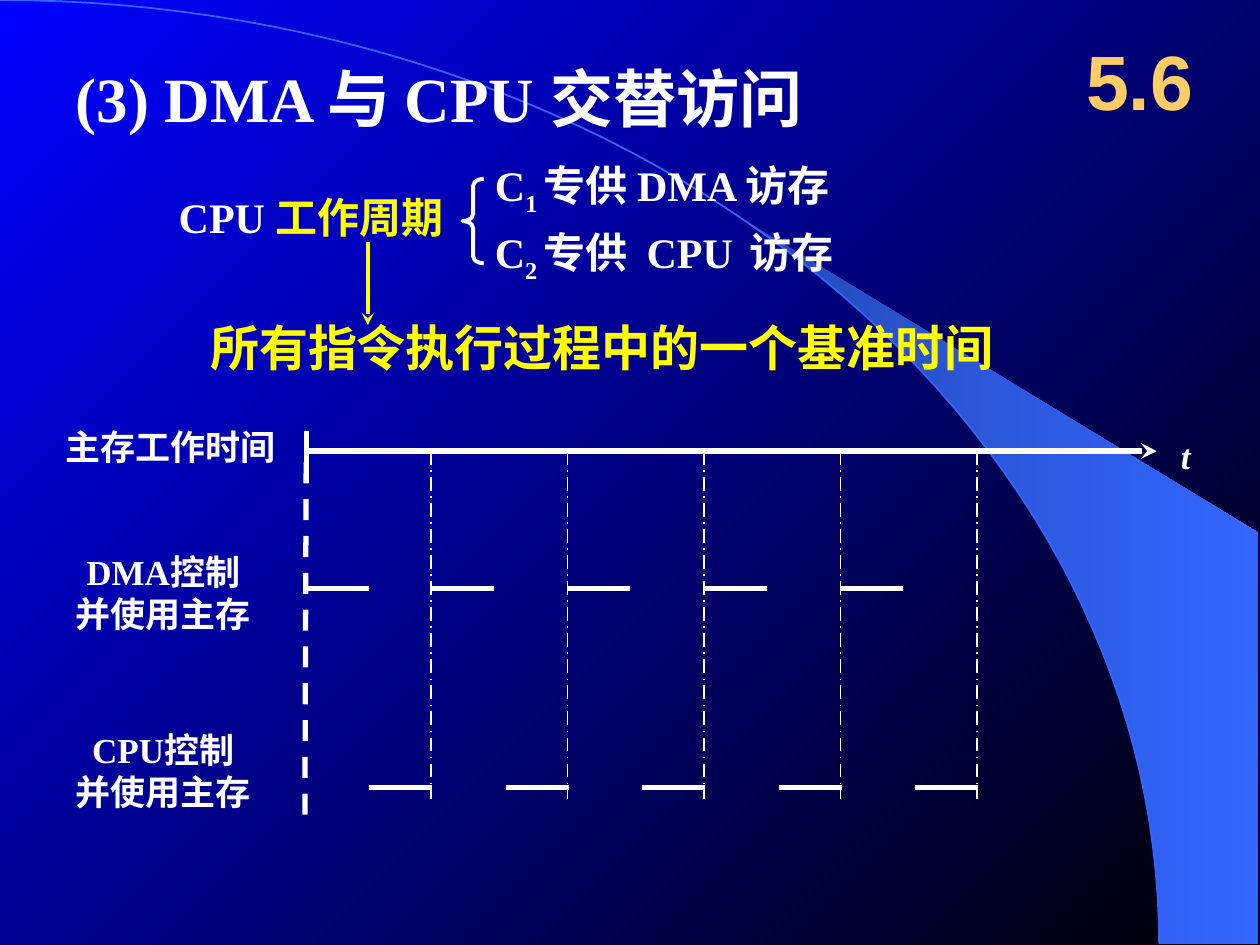
"""Build the slide on DMA and CPU taking turns at main memory."""
import math
from lxml import etree
from pptx import Presentation
from pptx import util as u
from pptx.dml.color import RGBColor
from pptx.enum import dml, shapes, text
from pptx.oxml.ns import qn

WIDTH, HEIGHT = 10, 7.5
WHITE, YELLOW, GOLD, BLUE = "FFFFFF", "FFFF00", "FFCC66", "3366FF"
SERIF, SANS = "Times New Roman", "Arial"
CENTER = text.PP_ALIGN.CENTER

TITLE = ([[("(3) DMA 与 CPU 交替访问", {})]], (0.5, 0.42, 6.92, 0.7), 36)
SECTION = ([[("5.6", {"color": GOLD, "font": SANS})]], (8.42, 0.17, 1.25, 0.92), 44)
LOWERED = {"base": "-25000"}
STATEMENTS = [
    ([[("CPU ", {}), ("工作周期", {"color": YELLOW})]], (1.32, 1.47, 2.52, 0.5), 24),
    ([[("C", {}), ("1 ", LOWERED), ("专供 DMA 访存", {})]], (3.83, 1.22, 4.42, 0.5), 24),
    ([[("C", {}), ("2 ", LOWERED), ("专供  CPU ", {}), (" ", {"size": 14}), ("访存", {})]],
     (3.83, 1.75, 3.83, 0.5), 24),
    ([[("所有指令执行过程中的一个基准时间", {"color": YELLOW})]], (1.57, 2.47, 7.6, 0.57), 28),
]
ROW_LABELS = [
    ([[("主存工作时间", {})]], (0.42, 3.33, 1.87, 0.43), 20),
    ([[("DMA控制", {})], [("并使用主存", {})]], (0.5, 4.32, 1.59, 0.77), 20),
    ([[("CPU控制", {})], [("并使用主存", {})]], (0.5, 5.73, 1.59, 0.77), 20),
    ([[("t", {"italic": True})]], (9.27, 3.4, 0.28, 0.43), 20),
]
ORIGIN, FIRST_TICK, PERIOD, CYCLES = 2.43, 3.42, 13 / 12, 5
AXIS_Y, DMA_Y, CPU_Y, TICK_END = 3.58, 4.67, 6.25, 6.34
BAR = 0.5
ARC_RX, ARC_RY, WEDGE_START = 9.2, 7.49, 5.89


def rgb(value):
    return RGBColor.from_string(value)


def inches(values):
    return [u.Inches(value) for value in values]


def gradient(fill, colors, angle):
    fill.gradient()
    fill.gradient_angle = angle
    for stop, color in zip(fill.gradient_stops, colors):
        stop.color.rgb = rgb(color)


def write(shape, content, wrap=True, align=None):
    paragraphs, box, size = content
    shape.left, shape.top, shape.width, shape.height = inches(box)
    frame = shape.text_frame
    frame.word_wrap = wrap
    frame.auto_size = text.MSO_AUTO_SIZE.NONE
    frame.vertical_anchor = text.MSO_ANCHOR.TOP
    for index, runs in enumerate(paragraphs):
        paragraph = frame.add_paragraph() if index else frame.paragraphs[0]
        paragraph.alignment = align or text.PP_ALIGN.LEFT
        for words, style in runs:
            run = paragraph.add_run()
            run.text = words
            font = run.font
            font.name = style.get("font", SERIF)
            font.size = u.Pt(style.get("size", size))
            font.color.rgb = rgb(style.get("color", WHITE))
            font.bold, font.italic = True, style.get("italic", False)
            if "base" in style:
                run._r.get_or_add_rPr().set("baseline", style["base"])
    return frame


def add_text(slide, content, **options):
    return write(slide.shapes.add_textbox(0, 0, 0, 0), content, **options)


def add_line(slide, start, end, color=WHITE, width=3, dash=None, arrow=False):
    line = slide.shapes.add_connector(
        shapes.MSO_CONNECTOR.STRAIGHT, *inches(start + end))
    line.line.color.rgb = rgb(color)
    line.line.width = u.Pt(width)
    if dash:
        line.line.dash_style = dash
    if arrow:
        etree.SubElement(line.line._get_or_add_ln(), qn("a:tailEnd"), type="stealth")
    etree.SubElement(line._element.spPr, qn("a:effectLst"))


def add_outline(slide, points, close):
    start, *rest = [inches(point) for point in points]
    builder = slide.shapes.build_freeform(*start)
    builder.add_line_segments(rest, close=close)
    outline = builder.convert_to_shape()
    outline.shadow.inherit = False
    return outline


def arc_points(first_angle, steps=60):
    angles = [first_angle + (math.pi / 2 - first_angle) * i / steps for i in range(steps + 1)]
    return [(ARC_RX * math.sin(a), ARC_RY * (1 - math.cos(a))) for a in angles]


def draw_backdrop(slide):
    gradient(slide.background.fill, ("0000FF", "000000"), 315)
    edge = arc_points(math.asin(WEDGE_START / ARC_RX))
    wedge = add_outline(slide, edge + [(9.99, ARC_RY), (9.99, 4.23)], True)
    gradient(wedge.fill, ("2449B6", BLUE), 0)
    wedge.line.fill.background()
    arc = add_outline(slide, arc_points(0), False)
    arc.fill.background()
    arc.line.color.rgb = rgb(BLUE)
    arc.line.width = u.Pt(1)


def draw_timing(slide):
    ticks = [FIRST_TICK + PERIOD * i for i in range(CYCLES)]
    add_line(slide, (ORIGIN, 3.42), (ORIGIN, 3.83))
    add_line(slide, (ORIGIN, AXIS_Y), (9.18, AXIS_Y), arrow=True)
    add_line(slide, (ORIGIN, 3.67), (2.42, 6.5), dash=dml.MSO_LINE.DASH)
    for dma, tick in zip([ORIGIN] + ticks, ticks):
        cpu = tick - BAR + 0.01
        add_line(slide, (dma, DMA_Y), (dma + BAR, DMA_Y))
        add_line(slide, (cpu, CPU_Y), (cpu + BAR, CPU_Y))
        add_line(slide, (tick, AXIS_Y), (tick, TICK_END), width=1,
                 dash=dml.MSO_LINE.LONG_DASH_DOT)
    for label in ROW_LABELS:
        add_text(slide, label, wrap=False, align=CENTER)


def draw_statements(slide):
    for statement in STATEMENTS:
        add_text(slide, statement)
    brace = slide.shapes.add_shape(
        shapes.MSO_SHAPE.LEFT_BRACE, *inches((3.67, 1.42, 0.17, 0.67)))
    brace.adjustments[0], brace.adjustments[1] = 0.33, 0.5
    brace.shadow.inherit = False
    brace.fill.background()
    brace.line.color.rgb = rgb(WHITE)
    brace.line.width = u.Pt(2.25)
    add_line(slide, (2.92, 1.92), (2.92, 2.58), YELLOW, 2.25, arrow=True)


def main():
    deck = Presentation()
    deck.slide_width, deck.slide_height = inches((WIDTH, HEIGHT))
    slide = deck.slides.add_slide(deck.slide_layouts[5])
    draw_backdrop(slide)
    title = slide.shapes.title
    slide.shapes._spTree.append(title._element)
    write(title, TITLE)
    draw_timing(slide)
    draw_statements(slide)
    section = add_text(slide, SECTION, align=CENTER)
    section.vertical_anchor = text.MSO_ANCHOR.MIDDLE
    deck.save("out.pptx")


if __name__ == "__main__":
    main()
